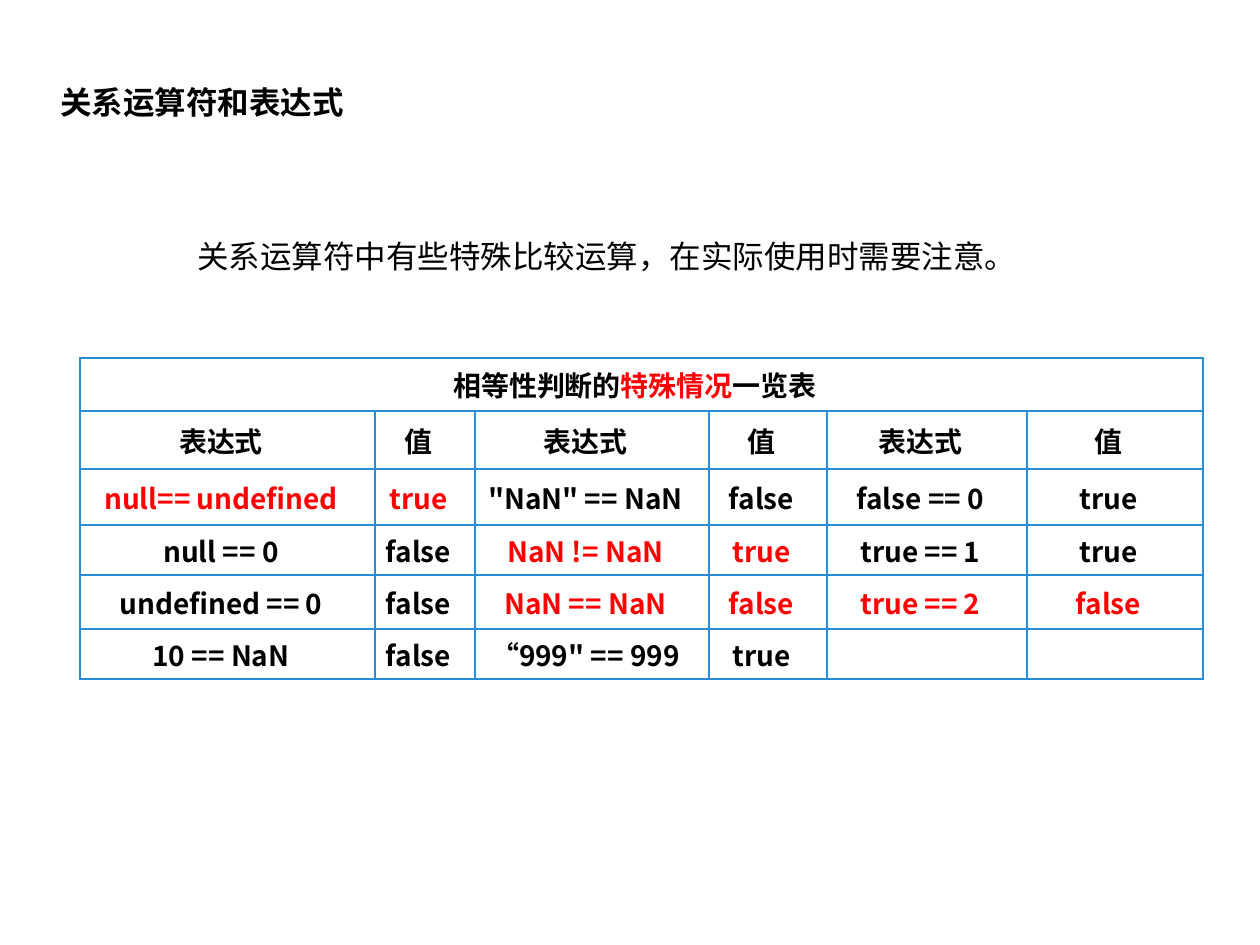
"""Build a slide on special cases of equality comparison, with a table of results."""
from dataclasses import dataclass

from lxml.etree import SubElement
from pptx import Presentation
from pptx.dml.color import RGBColor
from pptx.enum.text import MSO_ANCHOR as Anchor, PP_ALIGN as Align
from pptx.oxml.ns import qn
from pptx.util import Emu, Pt

PX_PER_INCH = 126


@dataclass(frozen=True)
class Theme:
    font: str = "Noto Sans CJK SC"
    ink: str = "000000"
    accent: str = "FF0000"
    border: str = "2A8DD4"
    border_width: int = 1
    text_size: int = 18
    table_size: int = 16


@dataclass(frozen=True)
class Label:
    text: str
    left: int
    top: int
    width: int
    height: int
    bold: bool = False
    indent: int = 0


THEME = Theme()
LABELS = (
    Label("关系运算符和表达式", 48, 63, 1070, 78, bold=True),
    Label("关系运算符中有些特殊比较运算，在实际使用时需要注意。", 158, 231, 946, 50, indent=27),
)
TABLE_LEFT, TABLE_TOP = 80, 358
COLUMN_WIDTHS = (295, 100, 234, 118, 200, 176)
ROW_HEIGHTS = (53, 58, 56, 50, 54, 50)
ACCENT_MARK = "*"
ROWS = (
    ("相等性判断的*特殊情况*一览表", "", "", "", "", ""),
    ("表达式", "值") * 3,
    ("*null== undefined*", "*true*", '"NaN" == NaN', "false", "false == 0", "true"),
    ("null == 0", "false", "*NaN != NaN*", "*true*", "true == 1", "true"),
    ("undefined == 0", "false", "*NaN == NaN*", "*false*", "*true == 2*", "*false*"),
    ("10 == NaN", "false", "“999\" == 999", "true", "", ""),
)


def px(length: int) -> Emu:
    return Emu(round(length * 914400 / PX_PER_INCH))


def style_span(span, size: int, color: str, bold: bool) -> None:
    span.font.name = THEME.font
    span.font.size = Pt(size)
    span.font.bold = bold
    span.font.color.rgb = RGBColor.from_string(color)
    SubElement(span._r.get_or_add_rPr(), qn("a:ea"), typeface=THEME.font)


def draw_label(page, label: Label) -> None:
    box = page.shapes.add_textbox(
        px(label.left), px(label.top), px(label.width), px(label.height))
    frame = box.text_frame
    frame.word_wrap = True
    frame.vertical_anchor = Anchor.MIDDLE
    frame.text = label.text
    para = frame.paragraphs[0]
    if label.indent:
        para._p.get_or_add_pPr().set("indent", str(px(label.indent)))
    style_span(para.runs[0], THEME.text_size, THEME.ink, label.bold)


def draw_borders(cell) -> None:
    properties = cell._tc.get_or_add_tcPr()
    for side in ("lnL", "lnR", "lnT", "lnB"):
        line = SubElement(properties, qn(f"a:{side}"), w=str(Pt(THEME.border_width)))
        fill = SubElement(line, qn("a:solidFill"))
        SubElement(fill, qn("a:srgbClr"), val=THEME.border)


def fill_cell(cell, text: str) -> None:
    draw_borders(cell)
    cell.fill.background()
    cell.vertical_anchor = Anchor.MIDDLE
    cell.margin_left, cell.margin_right = px(0), px(13)
    cell.margin_top = cell.margin_bottom = px(5)
    para = cell.text_frame.paragraphs[0]
    para.alignment = Align.CENTER
    for index, part in enumerate(text.split(ACCENT_MARK)):
        if part:
            span = para.add_run()
            span.text = part
            color = THEME.accent if index % 2 else THEME.ink
            style_span(span, THEME.table_size, color, True)
    if not text:
        ending = SubElement(para._p, qn("a:endParaRPr"), sz=str(THEME.table_size * 100))
        SubElement(ending, qn("a:latin"), typeface=THEME.font)


def draw_table(page) -> None:
    table = page.shapes.add_table(
        len(ROW_HEIGHTS), len(COLUMN_WIDTHS), px(TABLE_LEFT), px(TABLE_TOP),
        px(sum(COLUMN_WIDTHS)), px(sum(ROW_HEIGHTS))).table
    table.first_row = table.horz_banding = False
    for column, width in zip(table.columns, COLUMN_WIDTHS):
        column.width = px(width)
    for row, height, texts in zip(table.rows, ROW_HEIGHTS, ROWS):
        row.height = px(height)
        for cell, text in zip(row.cells, texts):
            fill_cell(cell, text)
    table.cell(0, 0).merge(table.cell(0, len(COLUMN_WIDTHS) - 1))


def main() -> None:
    deck = Presentation()
    deck.slide_width, deck.slide_height = px(1260), px(945)
    page = deck.slides.add_slide(deck.slide_layouts[6])
    for label in LABELS:
        draw_label(page, label)
    draw_table(page)
    deck.save("out.pptx")


if __name__ == "__main__":
    main()
